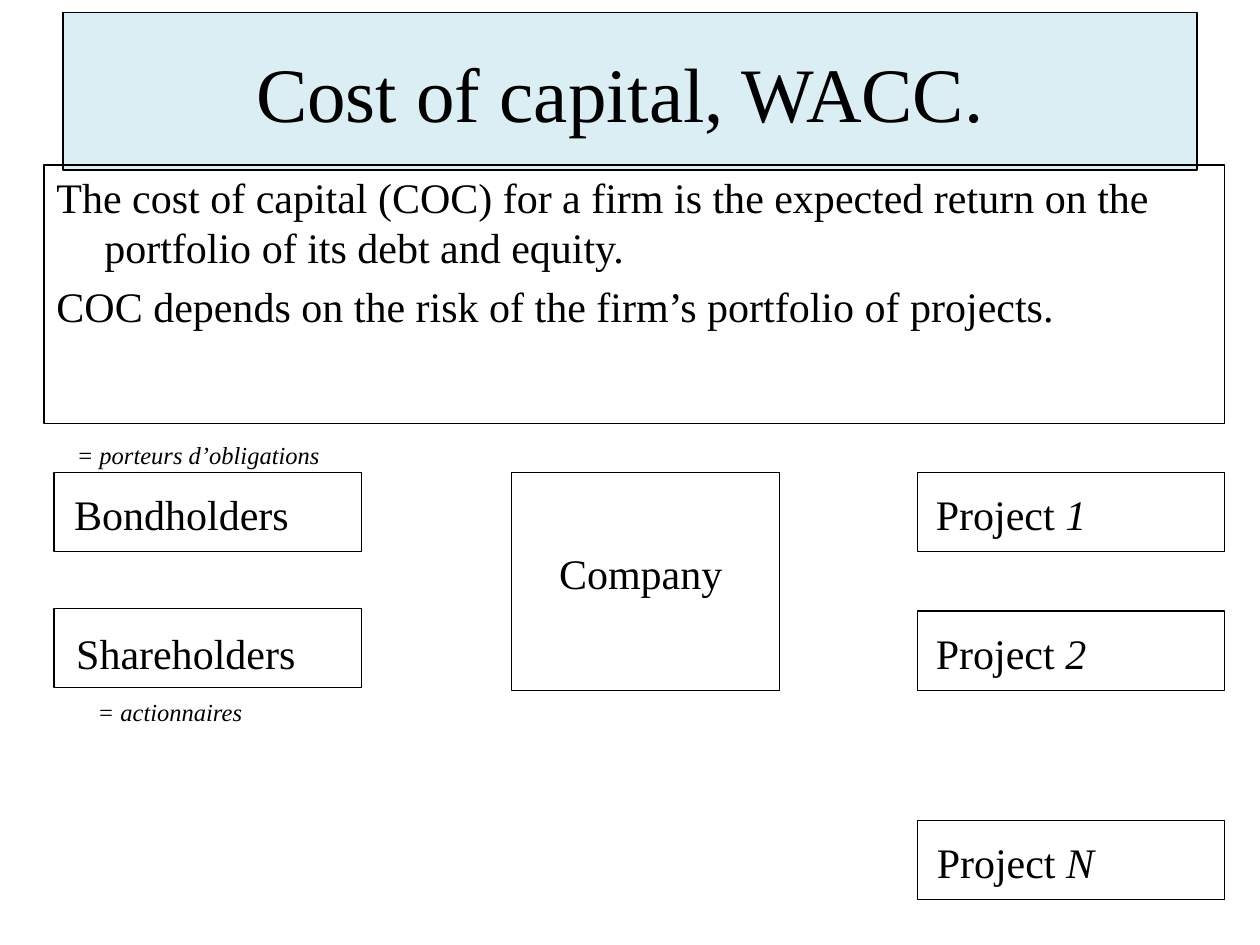
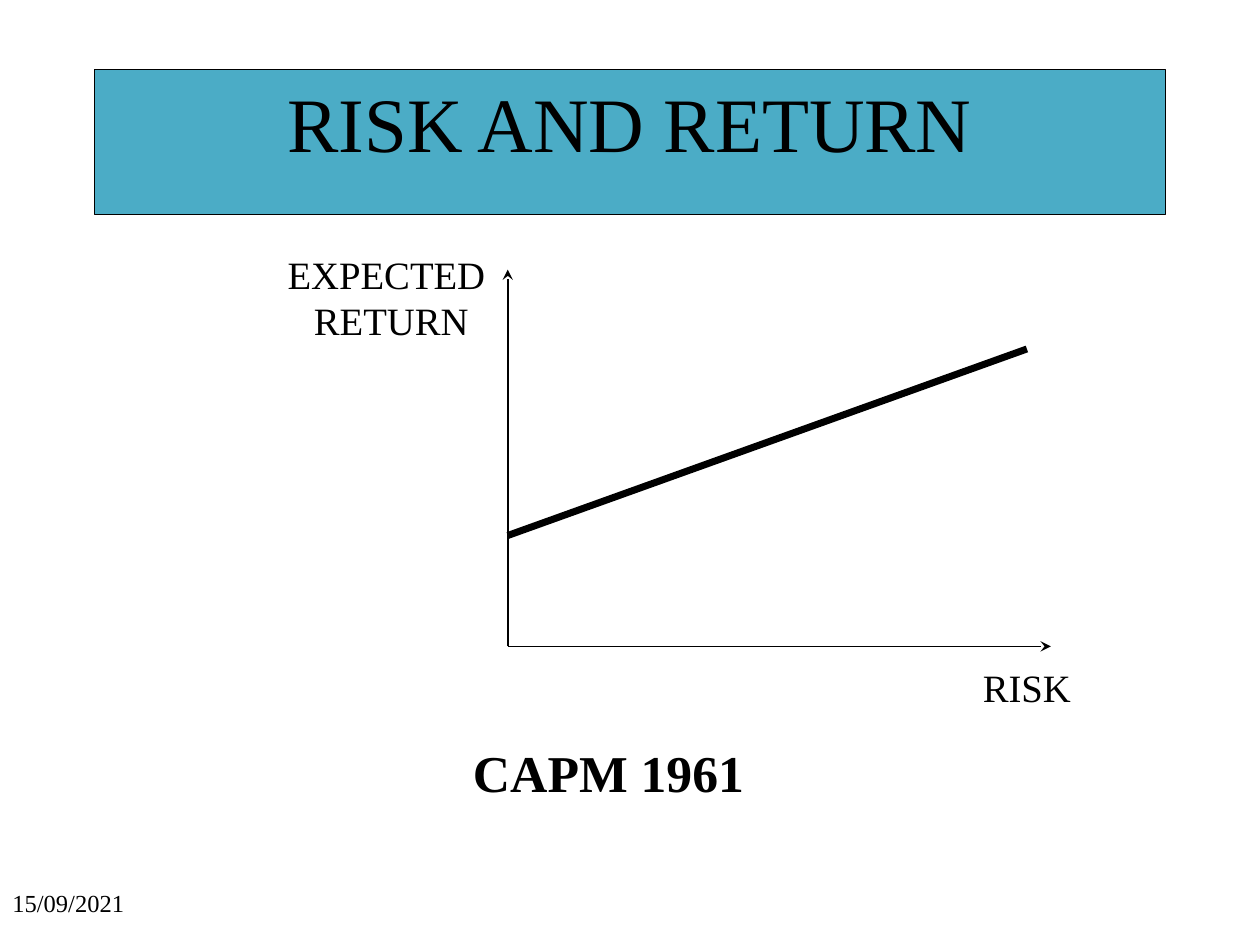
"""Build two finance slides: the cost of capital and the risk-return line."""
from dataclasses import dataclass

from lxml.etree import SubElement
from pptx import Presentation
from pptx.dml.color import RGBColor
from pptx.enum.shapes import MSO_CONNECTOR as Connector, MSO_SHAPE as Shape
from pptx.enum.text import MSO_ANCHOR as Anchor, PP_ALIGN as Align
from pptx.oxml.ns import qn
from pptx.util import Inches, Pt


@dataclass(frozen=True)
class Theme:
    font: str = "Times New Roman"
    ink: RGBColor = RGBColor(0x00, 0x00, 0x00)
    pale_band: RGBColor = RGBColor(0xDB, 0xEE, 0xF4)
    strong_band: RGBColor = RGBColor(0x4B, 0xAC, 0xC6)
    title: float = 44
    callout: float = 29.5
    body: float = 24
    axis: float = 22.1
    small: float = 14
    outline: float = 0.75
    axis_line: float = 1
    trend_line: float = 4


THEME = Theme()

COST_TITLE = "Cost of capital, WACC. "
COST_POINTS = [
    "The cost of capital (COC) for a firm is the expected return on the portfolio of its debt and equity.",
    "COC depends on the risk of the firm’s portfolio of projects.",
]
COMPANY = "Company"
HOLDERS = [("Shareholders", 4.83, 0.1, 2.09), ("Bondholders", 3.75, 0.08, 2.02)]
PROJECTS = [("1", 3.75, 1.49), ("2", 4.85, 1.49), ("N", 6.51, 1.56)]
TRANSLATIONS = [
    ("= porteurs d’obligations", (0.51, 3.44, 2.13, 0.33)),
    ("= actionnaires", (0.67, 5.48, 1.36, 0.33)),
]

RISK_TITLE = "RISK AND RETURN"
AXIS_LABELS = [
    (["RISK"], (7.7, 5.22, 0.9, 0.47)),
    (["EXPECTED ", "RETURN"], (2.18, 1.94, 1.85, 0.84)),
]
MODEL = "CAPM 1961"
DATE = "15/09/2021"

HOLDER_LEFT, PROJECT_LEFT = 0.43, 7.28
BOX_WIDTH, BOX_HEIGHT = 2.44, 0.63
LABEL_HEIGHT, LABEL_OFFSET = 0.5, 0.08
ORIGIN, AXIS_TOP, AXIS_RIGHT = (4.03, 5.13), 2.14, 8.34
TREND_START, TREND_END = (4.03, 4.25), (8.15, 2.77)


def inches(values):
    return [Inches(value) for value in values]


def write(shape, lines, size, align=Align.CENTER, wrap=True, anchor=Anchor.TOP, bold=False, italic=False):
    """Fill a shape with lines, each a string or a (plain, italic) pair."""
    frame = shape.text_frame
    frame.word_wrap = wrap
    frame.vertical_anchor = anchor
    for index, line in enumerate(lines):
        paragraph = frame.add_paragraph() if index else frame.paragraphs[0]
        paragraph.alignment = align
        font = paragraph.font
        font.name, font.size = THEME.font, Pt(size)
        font.bold, font.italic = bold, italic
        font.color.rgb = THEME.ink
        plain, slanted = (line, "") if isinstance(line, str) else line
        paragraph.add_run().text = plain
        if slanted:
            run = paragraph.add_run()
            run.text = slanted
            run.font.italic = True
    return frame


def add_box(slide, place, fill=None):
    box = slide.shapes.add_shape(Shape.RECTANGLE, *inches(place))
    box.shadow.inherit = False
    if fill is None:
        box.fill.background()
    else:
        box.fill.solid()
        box.fill.fore_color.rgb = fill
    box.line.color.rgb = THEME.ink
    box.line.width = Pt(THEME.outline)
    return box


def add_label(slide, lines, place, size, **style):
    return write(slide.shapes.add_textbox(*inches(place)), lines, size, **style)


def add_title(slide, text, place, fill, anchor):
    write(add_box(slide, place, fill), [text], THEME.title, anchor=anchor)


def add_line(slide, start, end, width, arrow=False):
    line = slide.shapes.add_connector(Connector.STRAIGHT, *inches(start + end))
    line.line.color.rgb = THEME.ink
    line.line.width = Pt(width)
    properties = line._element.spPr
    SubElement(properties, qn("a:effectLst"))
    if arrow:
        SubElement(properties.find(qn("a:ln")), qn("a:tailEnd"), type="stealth")


def build_cost_slide(slide):
    add_title(slide, COST_TITLE, (0.5, 0.1, 9, 1.25), THEME.pale_band, Anchor.MIDDLE)
    frame = write(add_box(slide, (0.35, 1.31, 9.37, 2.05)), COST_POINTS, THEME.body, align=Align.LEFT)
    for paragraph in frame.paragraphs:
        properties = paragraph._p.get_or_add_pPr()
        properties.set("marL", str(Inches(0.38)))
        properties.set("indent", str(Inches(-0.38)))
    frame.paragraphs[1].space_before = Pt(0.2 * THEME.body)

    add_box(slide, (4.06, 3.75, 2.13, 1.73))
    add_label(slide, [COMPANY], (4.06, 4.3, 2.05, LABEL_HEIGHT), THEME.body)

    entries = [(name, HOLDER_LEFT, top, offset, width) for name, top, offset, width in HOLDERS]
    entries += [(("Project ", number), PROJECT_LEFT, top, LABEL_OFFSET, width) for number, top, width in PROJECTS]
    for line, left, top, offset, width in entries:
        add_box(slide, (left, top, BOX_WIDTH, BOX_HEIGHT))
        add_label(slide, [line], (left, top + offset, width, LABEL_HEIGHT), THEME.body, wrap=False)
    for text, place in TRANSLATIONS:
        add_label(slide, [text], place, THEME.small, wrap=False, italic=True)


def build_risk_slide(slide):
    add_title(slide, RISK_TITLE, (0.75, 0.55, 8.5, 1.15), THEME.strong_band, Anchor.TOP)
    for tip in ((ORIGIN[0], AXIS_TOP), (AXIS_RIGHT, ORIGIN[1])):
        add_line(slide, ORIGIN, tip, THEME.axis_line, arrow=True)
    for lines, place in AXIS_LABELS:
        add_label(slide, lines, place, THEME.axis, wrap=False)
    add_line(slide, TREND_START, TREND_END, THEME.trend_line)
    add_label(slide, [MODEL], (1.58, 5.83, 6.5, 0.6), THEME.callout, bold=True)
    add_label(slide, [DATE], (0, 7, 2.26, 0.5), THEME.small, align=Align.LEFT)


def main():
    presentation = Presentation()
    presentation.slide_width, presentation.slide_height = Inches(10), Inches(7.5)
    for build in (build_cost_slide, build_risk_slide):
        build(presentation.slides.add_slide(presentation.slide_layouts[6]))
    presentation.save("out.pptx")


if __name__ == "__main__":
    main()
